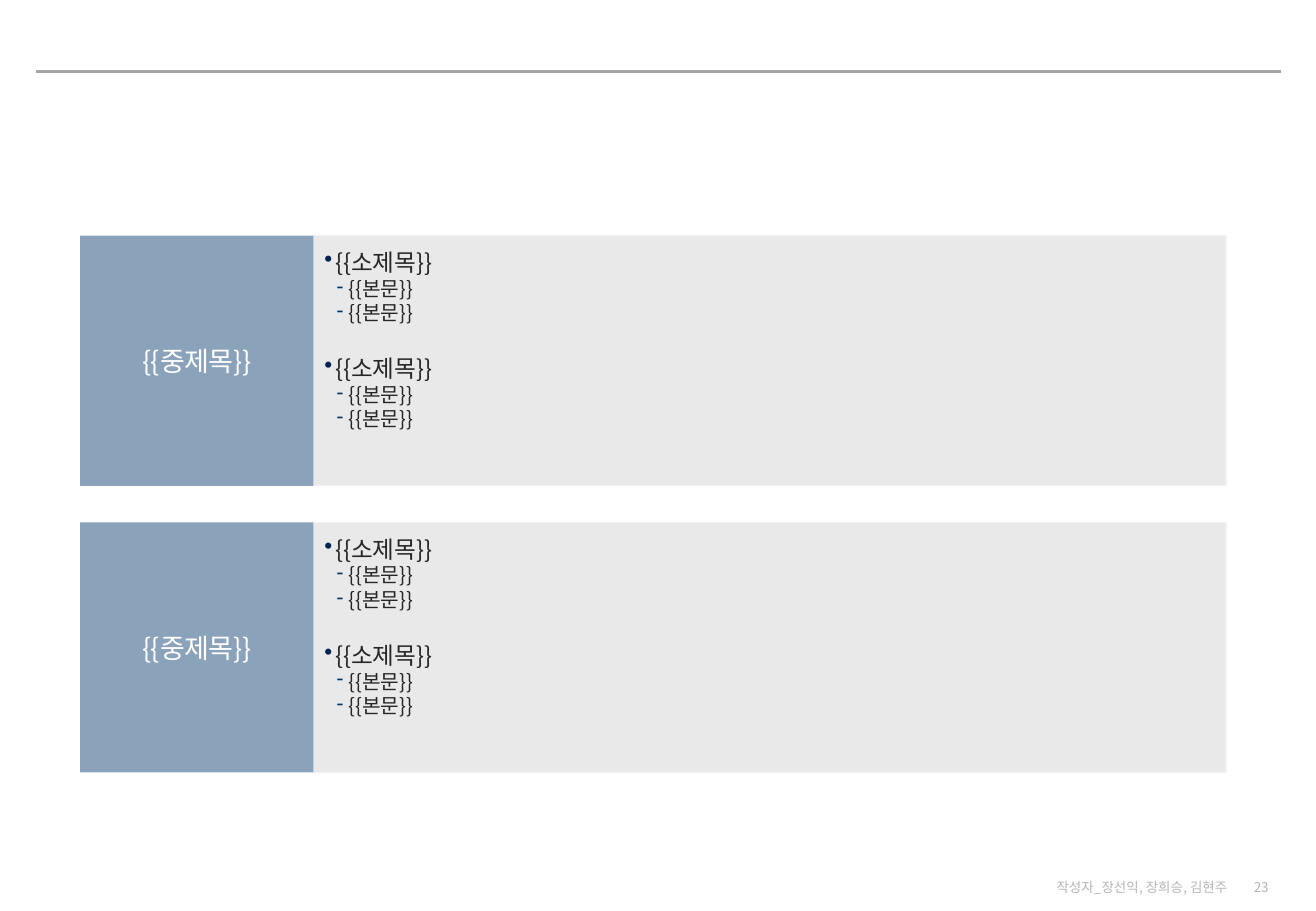
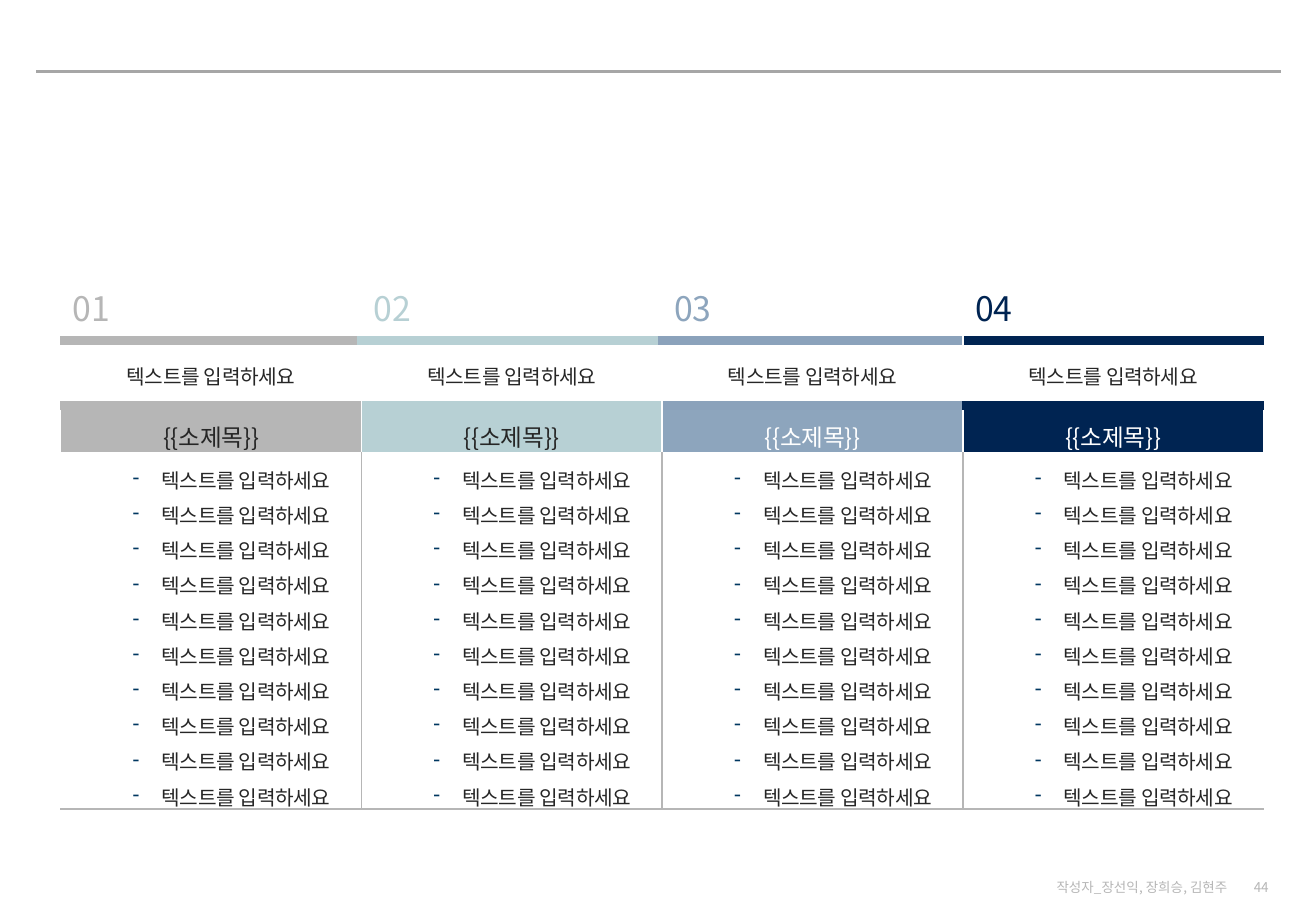
from dataclasses import dataclass

from lxml.etree import SubElement as Sub
from pptx import Presentation
from pptx.dml.color import RGBColor as Rgb
from pptx.enum.shapes import MSO_CONNECTOR as Link, MSO_SHAPE as Form
from pptx.enum.text import MSO_ANCHOR as Anchor, PP_ALIGN as Align
from pptx.oxml.ns import qn
from pptx.util import Inches, Pt

FONT = "Noto Sans CJK KR"
INK = {
    "white": "FFFFFF", "text": "262626", "rule": "A6A6A6", "grey": "B6B6B6",
    "mint": "B7D0D4", "steel": "8BA2BB", "blue": "8DA5BD", "navy": "002452",
    "dash": "003760", "panel": "E9E9E9", "edge": "F2F2F2",
}
PROMPT = "텍스트를 입력하세요"


@dataclass(frozen=True)
class Style:
    size: float
    ink: str = "text"
    align: Align = Align.LEFT
    lead: float = 1.0
    track: int = 0


@dataclass(frozen=True)
class Bullet:
    mark: str
    ink: str
    level: int
    left: float
    hang: float


@dataclass(frozen=True)
class Line:
    text: str
    style: Style
    bullet: Bullet | None = None
    gap: float = 0


@dataclass(frozen=True)
class Column:
    number: str
    ink: str
    bar: str
    fill: str
    label: str


NOTE = Style(8, "grey", Align.RIGHT)
HEAD = Style(16, "white", Align.CENTER, track=-20)
SUB = Bullet("•", "navy", 1, 0.09, 0.09)
BODY = Bullet("‐", "dash", 2, 0.2, 0.1)
ITEM = Bullet("‐", "dash", 2, 0.71, 0.24)
COLUMNS = (
    Column("01", "grey", "grey", "grey", "text"),
    Column("02", "mint", "mint", "mint", "text"),
    Column("03", "blue", "steel", "blue", "white"),
    Column("04", "navy", "navy", "navy", "white"),
)


def tint(name: str) -> Rgb:
    return Rgb.from_string(INK[name])


def write(frame, lines: list[Line]) -> None:
    for i, line in enumerate(lines):
        para = frame.add_paragraph() if i else frame.paragraphs[0]
        style, mark = line.style, line.bullet
        para.alignment = style.align
        para.line_spacing = style.lead
        if line.gap:
            para.space_before = Pt(line.gap)
        if mark:
            para.level = mark.level
            props = para._p.get_or_add_pPr()
            props.set("marL", str(Inches(mark.left)))
            props.set("indent", str(-Inches(mark.hang)))
            Sub(Sub(props, qn("a:buClr")), qn("a:srgbClr"), val=INK[mark.ink])
            Sub(props, qn("a:buChar"), char=mark.mark)
        run = para.add_run()
        run.text = line.text
        run.font.size = Pt(style.size)
        run.font.color.rgb = tint(style.ink)
        run.font.name = FONT
        props = run._r.get_or_add_rPr()
        Sub(props, qn("a:ea"), typeface=FONT)
        if style.track:
            props.set("spc", str(style.track))


def add_note(slide, left: float, width: float, text: str) -> None:
    box = slide.shapes.add_textbox(Inches(left), Inches(7.22), Inches(width), Inches(0.16))
    frame = box.text_frame
    frame.word_wrap = True
    frame.vertical_anchor = Anchor.MIDDLE
    write(frame, [Line(text, NOTE)])


def add_page(deck, number: int):
    slide = deck.slides.add_slide(deck.slide_layouts[6])
    rule = slide.shapes.add_connector(
        Link.STRAIGHT, Inches(0.3), Inches(0.59), Inches(10.54), Inches(0.59))
    rule.line.color.rgb = tint("rule")
    rule.line.width = Pt(0)
    Sub(rule._element.spPr, qn("a:effectLst"))
    add_note(slide, 10.13, 0.41, str(number))
    add_note(slide, 8.52, 1.68, "작성자_장선익, 장희승, 김현주")
    return slide


def add_box(slide, left: float, top: float, width: float, fill: str,
            edge: str | None, anchor: Anchor, lines: list[Line]) -> None:
    box = slide.shapes.add_shape(
        Form.RECTANGLE, Inches(left), Inches(top), Inches(width), Inches(2.06))
    box.shadow.inherit = False
    box.fill.solid()
    box.fill.fore_color.rgb = tint(fill)
    if edge:
        box.line.color.rgb = tint(edge)
        box.line.width = Pt(0.75)
    else:
        box.line.fill.background()
    frame = box.text_frame
    frame.word_wrap = True
    frame.vertical_anchor = anchor
    frame.margin_left = frame.margin_right = Inches(0.1)
    frame.margin_top = frame.margin_bottom = Inches(0.1)
    write(frame, lines)


def add_panels(slide) -> None:
    lines = []
    for gap in (0, 17.4):
        lines.append(Line("{{소제목}}", Style(14), SUB, gap))
        lines += [Line("{{본문}}", Style(12), BODY)] * 2
    for top in (1.94, 4.3):
        add_box(slide, 2.57, top, 7.52, "panel", "edge", Anchor.TOP, lines)
        add_box(slide, 0.66, top, 1.92, "steel", None, Anchor.MIDDLE,
                [Line("{{중제목}}", HEAD)])


def fill_cell(cell, fill: str, lines: list[Line], edges: dict) -> None:
    props = cell._tc.get_or_add_tcPr()
    for side in "LRTB":
        if side in edges:
            ink, width = edges[side]
            edge = Sub(props, qn(f"a:ln{side}"), w=str(Pt(width)))
            Sub(Sub(edge, qn("a:solidFill")), qn("a:srgbClr"), val=INK[ink])
    cell.fill.solid()
    cell.fill.fore_color.rgb = tint(fill)
    cell.vertical_anchor = Anchor.MIDDLE
    write(cell.text_frame, lines)


def table_style(size: float, ink: str = "text", align: Align = Align.CENTER) -> Style:
    return Style(size, ink, align, 1.2, -20)


def add_grid(slide) -> None:
    rows = (0.63, 0.54, 0.39, 2.93)
    grid = slide.shapes.add_table(
        len(rows), len(COLUMNS), Inches(0.5), Inches(2.17),
        Inches(9.9), Inches(sum(rows))).table
    grid.first_row = grid.horz_banding = False
    for row, height in zip(grid.rows, rows):
        row.height = Inches(height)
    thin, thick, grey = ("white", 0.96), ("white", 6), ("grey", 0.96)
    last = len(COLUMNS) - 1
    items = [Line(PROMPT, table_style(12, align=Align.LEFT), ITEM)] * 10
    for i, col in enumerate(COLUMNS):
        def sides(inner: tuple, end: int = last) -> dict:
            return {"L": inner if 0 < i <= end else thin,
                    "R": inner if i < end else thin}

        bar = (col.bar, 6)
        fill_cell(grid.cell(0, i), "white",
                  [Line(col.number, table_style(20, col.ink, Align.LEFT))],
                  sides(thick) | {"B": bar})
        fill_cell(grid.cell(1, i), "white", [Line(PROMPT, table_style(12))],
                  sides(thick, last - 1) | {"T": bar})
        fill_cell(grid.cell(2, i), col.fill,
                  [Line("{{소제목}}", table_style(14, col.label))], sides(thin))
        cell = grid.cell(3, i)
        fill_cell(cell, "white", items, sides(grey) | {"B": grey})
        cell.vertical_anchor = Anchor.TOP
        cell.margin_left = cell.margin_right = Inches(0.12)


def main() -> None:
    deck = Presentation()
    deck.slide_width, deck.slide_height = Inches(10.83), Inches(7.5)
    add_panels(add_page(deck, 23))
    add_grid(add_page(deck, 44))
    deck.save("out.pptx")


if __name__ == "__main__":
    main()
